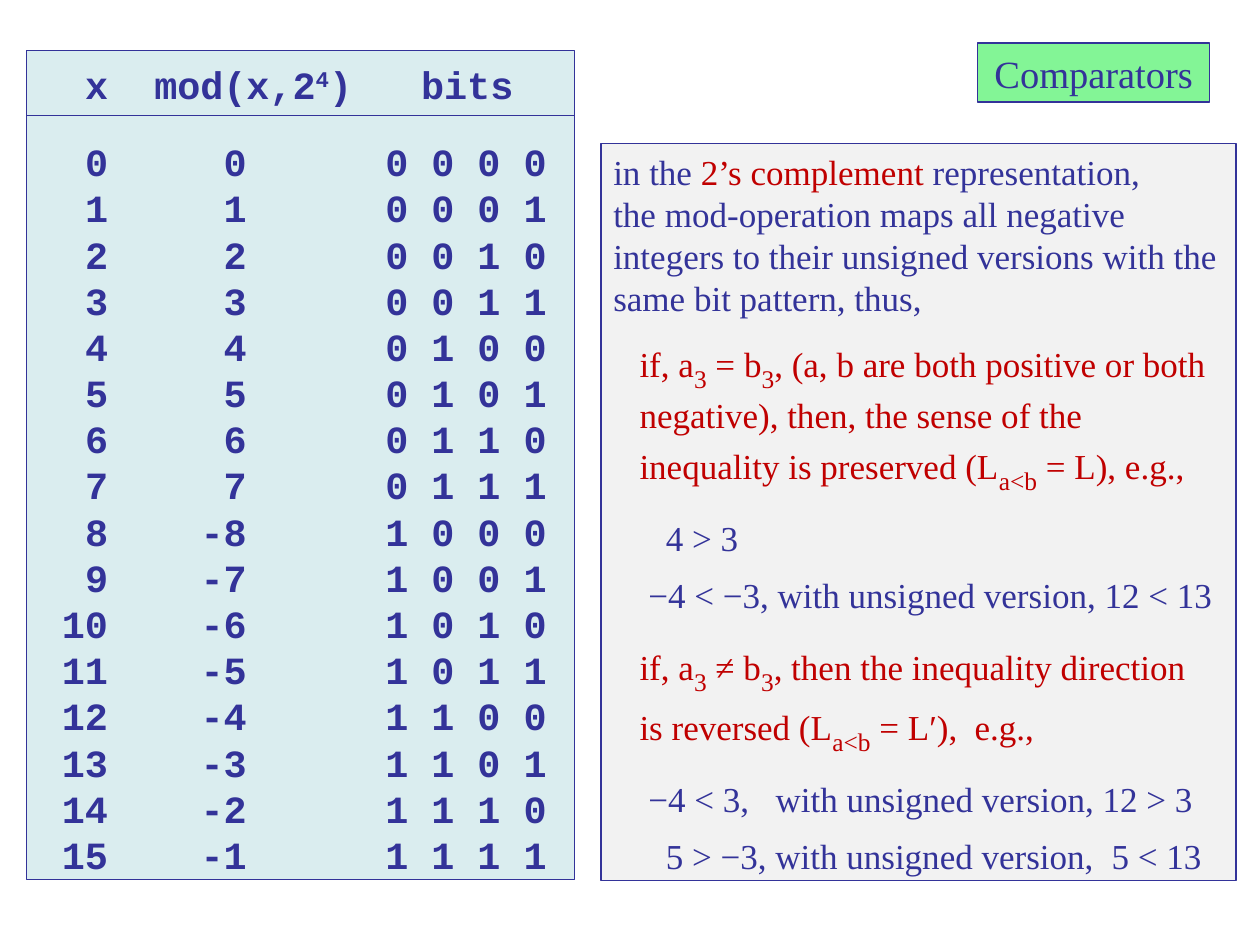
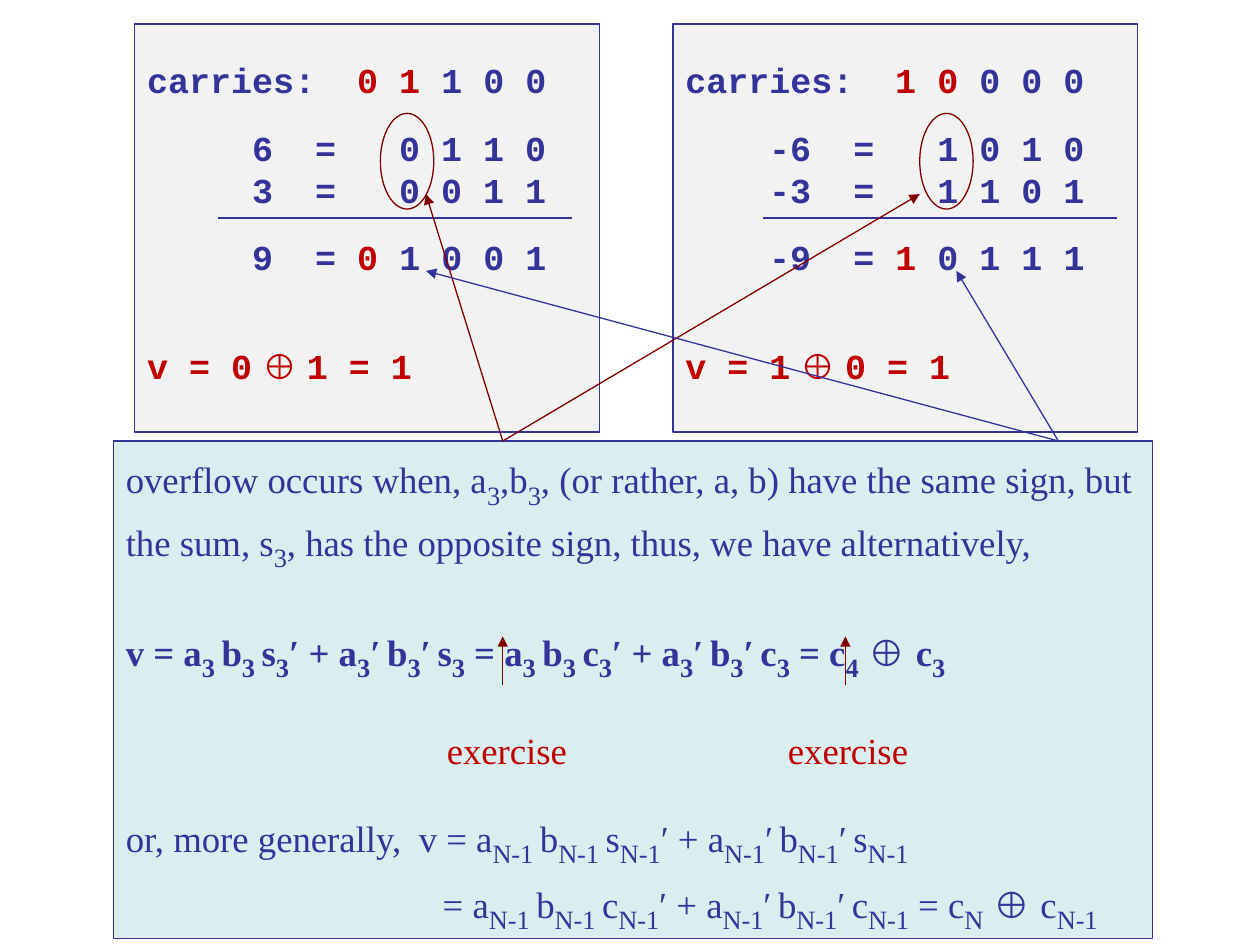
from lxml.etree import SubElement
from pptx import Presentation
from pptx.dml.color import RGBColor
from pptx.enum.shapes import MSO_CONNECTOR, MSO_SHAPE
from pptx.enum.text import MSO_ANCHOR, MSO_AUTO_SIZE, PP_ALIGN
from pptx.oxml.ns import qn
from pptx.util import Pt

INDIGO = RGBColor(0x33, 0x33, 0x99)
RED = RGBColor(0xC0, 0x00, 0x00)
MAROON = RGBColor(0x80, 0x00, 0x00)
AQUA = RGBColor(0xDA, 0xED, 0xEF)
GREY = RGBColor(0xF2, 0xF2, 0xF2)
GREEN = RGBColor(0x83, 0xF5, 0x96)
MONO = "Courier New"
SERIF = "Times New Roman"


def write_panel(box, fill, rows, font, size, inset, bold=False,
                script=(-25, 25), align=PP_ALIGN.LEFT):
    # ^ toggles red, | toggles the raised or lowered script, ~ toggles symbols
    box.fill.solid()
    box.fill.fore_color.rgb = fill
    box.line.color.rgb = INDIGO
    box.line.width = Pt(0.75)
    frame = box.text_frame
    frame.word_wrap = True
    frame.auto_size = MSO_AUTO_SIZE.NONE
    frame.vertical_anchor = MSO_ANCHOR.TOP
    frame.margin_left = frame.margin_right = Pt(7.2)
    frame.margin_top, frame.margin_bottom = Pt(inset), Pt(0)
    for number, (text, tabs, height, before) in enumerate(rows):
        para = frame.add_paragraph() if number else frame.paragraphs[0]
        para.alignment = align
        para.line_spacing = Pt(height)
        para.space_before = Pt(before)
        para.space_after = Pt(0)
        if tabs:
            stops = SubElement(para._p.get_or_add_pPr(), qn("a:tabLst"))
            for side, place in tabs:
                SubElement(stops, qn("a:tab"), pos=str(Pt(place)), algn=side)
        for red, part in enumerate(text.split("^")):
            for scripted, piece in enumerate(part.split("|")):
                for symbol, chunk in enumerate(piece.split("~")):
                    if not chunk:
                        continue
                    span = para.add_run()
                    span.text = chunk
                    span.font.name = "Arial" if symbol % 2 else font
                    span.font.size = Pt(script[1] if scripted % 2 else size)
                    span.font.bold = bold or chunk in bold_chunks
                    span.font.color.rgb = RED if red % 2 else INDIGO
                    if scripted % 2:
                        span.font._element.set("baseline", str(script[0] * 1000))


def draw_line(page, start, end, color, arrow=False):
    line = page.shapes.add_connector(MSO_CONNECTOR.STRAIGHT, *map(Pt, start + end))
    line.line.color.rgb = color
    line.line.width = Pt(0.75)
    if arrow:
        SubElement(line.line._get_or_add_ln(), qn("a:tailEnd"), type="triangle")
    SubElement(line._element.spPr, qn("a:effectLst"))


deck = Presentation()
deck.slide_width, deck.slide_height = Pt(720), Pt(540)

equation = ("v = a|3 |b|3 |s|3|ʹ + a|3|ʹ| |b|3|ʹ| |s|3| = a|3 |b|3 |c|3|ʹ"
            " + a|3|ʹ| |b|3|ʹ| |c|3| = c|4|~ ⊕ ~c|3")
bold_chunks = ()

page = deck.slides.add_slide(deck.slide_layouts[5])
title = page.shapes.title
title.left, title.top, title.width, title.height = Pt(558.7), Pt(24.5), Pt(132.5), Pt(33.8)
write_panel(title, GREEN, [("Comparators", (), 26.4, 0)], SERIF, 22, 4.2,
            align=PP_ALIGN.CENTER)

number_rows = [("\tx\tmod(x,2|4|)\tbits", [("r", 39.6), ("l", 66), ("l", 218.5)], 26.4, 0)]
for value in range(16):
    signed = value if value < 8 else value - 16
    bits = " ".join(f"{value:04b}")
    number_rows.append((f"\t{value}\t{signed}\t{bits}",
                        [("r", 39.6), ("r", 118.8), ("l", 198)],
                        26.4, 0 if value else 18))
number_box = page.shapes.add_shape(MSO_SHAPE.RECTANGLE, Pt(15.1), Pt(28.8), Pt(313.4), Pt(474))
number_box.shadow.inherit = False
write_panel(number_box, AQUA, number_rows, MONO, 22, 5.8, bold=True, script=(30, 22))
draw_line(page, (15.1, 66.2), (328.7, 66.2), INDIGO)

rule, example, negative = ("l", 15), ("l", 30), ("l", 20)
complement_rows = [
    ("in the ^2’s complement ^representation,", (), 24, 0),
    ("the mod-operation maps all negative integers to their unsigned versions "
     "with the same bit pattern, thus,", (), 24, 0),
    ("^\tif, a|3| = b|3|, (a, b are both positive or both", [rule], 34.4, 8.4),
    ("^\tnegative), then, the sense of the", [rule], 24, 0),
    ("^\tinequality is preserved (L|a<b| = L), e.g.,", [rule], 34.4, 0),
    ("\t4 > 3", [example], 24, 12),
    ("\t−4 < −3, with unsigned version, 12 < 13", [negative], 24, 8.4),
    ("^\tif, a|3| ≠ b|3|, then the inequality direction", [rule], 34.4, 12),
    ("^\tis reversed (L|a<b| = Lʹ),\te.g.,", [rule, ("l", 206.5)], 34.4, 0),
    ("\t−4 < 3,\twith unsigned version, 12 > 3", [negative, ("l", 92.8)], 24, 12),
    ("\t5 > −3, with unsigned version,\t5 < 13", [example, ("l", 284.8)], 24, 8.4),
]
complement_box = page.shapes.add_shape(MSO_SHAPE.RECTANGLE, Pt(343.4), Pt(82.2), Pt(363), Pt(421))
complement_box.shadow.inherit = False
write_panel(complement_box, GREY, complement_rows, SERIF, 20, 3.8)

page = deck.slides.add_slide(deck.slide_layouts[6])
columns = [("r", 72), ("l", 96), ("l", 144)]
sums = [
    (77, 124.6, 217.4, "^0 1 ^1 0 0", ("6", "0 1 1 0"), ("3", "0 0 1 1"),
     ("9", "^0^ 1 0 0 1"), "0~ ⊕ ~1"),
    (384.5, 436.3, 525.6, "^1 0 ^0 0 0", ("-6", "1 0 1 0"), ("-3", "1 1 0 1"),
     ("-9", "^1 ^0 1 1 1"), "1~ ⊕ ~0"),
]
for left, rule_left, oval_left, carries, first, second, total, overflow in sums:
    sum_box = page.shapes.add_shape(MSO_SHAPE.RECTANGLE, Pt(left), Pt(13.7), Pt(265.7), Pt(233.3))
    sum_box.shadow.inherit = False
    write_panel(sum_box, GREY, [
        (f"carries:\t{carries}", [("l", 120)], 24, 0),
        (f"\t{first[0]}\t=\t{first[1]}", columns, 24, 14.4),
        (f"\t{second[0]}\t=\t{second[1]}", columns, 24, 0),
        (f"\t{total[0]}\t= {total[1]}", columns, 24, 14.4),
        (f"^v = {overflow} = 1", (), 24, 38.4),
    ], MONO, 20, 20, bold=True)
    draw_line(page, (rule_left, 124.6), (rule_left + 202, 124.6), INDIGO)
    oval = page.shapes.add_shape(MSO_SHAPE.OVAL, Pt(oval_left), Pt(64.8), Pt(30.5), Pt(54.7))
    oval.shadow.inherit = False
    oval.fill.background()
    oval.line.color.rgb = MAROON
    oval.line.width = Pt(0.75)

bold_chunks = equation.replace("~", "|").split("|")
bold_chunks = ()
overflow_rows = [
    ("overflow occurs when, a|3|,b|3|, (or rather, a, b) have the same sign, but "
     "the sum, s|3|, has the opposite sign, thus, we have alternatively,", (), 35.8, 0),
    (equation, (), 37.8, 25.2),
    ("^\texercise\texercise", [("l", 183.4), ("l", 378.3)], 25.2, 25.2),
    ("or, more generally,\tv = a|N-1 |b|N-1 |s|N-1|ʹ + a|N-1|ʹ| |b|N-1|ʹ| |s|N-1",
     [("l", 167.4)], 37.8, 18),
    ("\t= a|N-1 |b|N-1 |c|N-1|ʹ + a|N-1|ʹ| |b|N-1|ʹ| |c|N-1| = c|N|~ ⊕ ~c|N-1",
     [("l", 181.1)], 37.8, 0),
]
overflow_box = page.shapes.add_shape(MSO_SHAPE.RECTANGLE, Pt(64.8), Pt(252), Pt(594), Pt(284.4))
overflow_box.shadow.inherit = False
write_panel(overflow_box, AQUA, overflow_rows, SERIF, 21, 3.8, script=(-25, 26))
for span in overflow_box.text_frame.paragraphs[1].runs:
    span.font.bold = True

for exercise in (287.3, 483.1):
    draw_line(page, (exercise, 391.7), (exercise, 363.6), MAROON, arrow=True)
for start, ends, color in (
    ((287.3, 252), ((243.4, 110.9), (525.6, 110.9)), MAROON),
    ((604.8, 252), ((546.5, 154.8), (243.4, 154.8)), INDIGO),
):
    for end in ends:
        draw_line(page, start, end, color, arrow=True)

deck.save("out.pptx")
